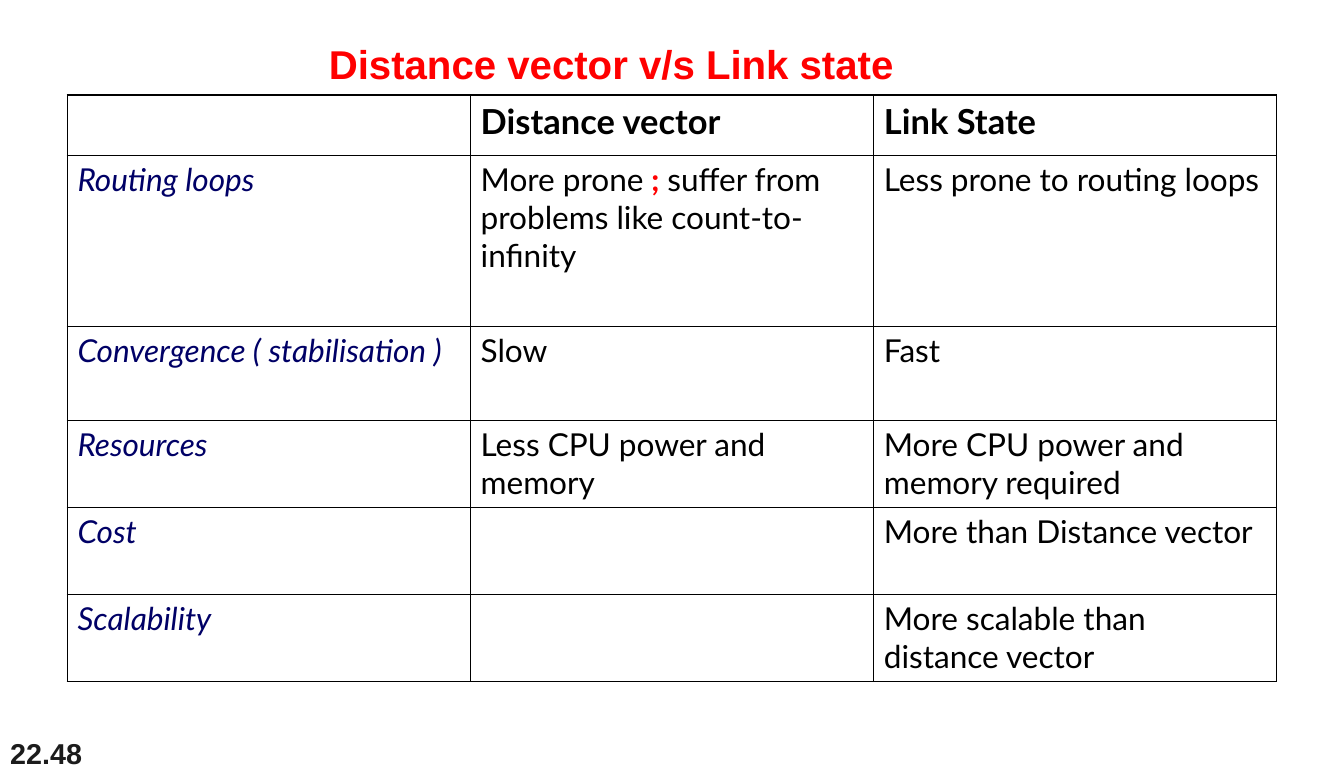
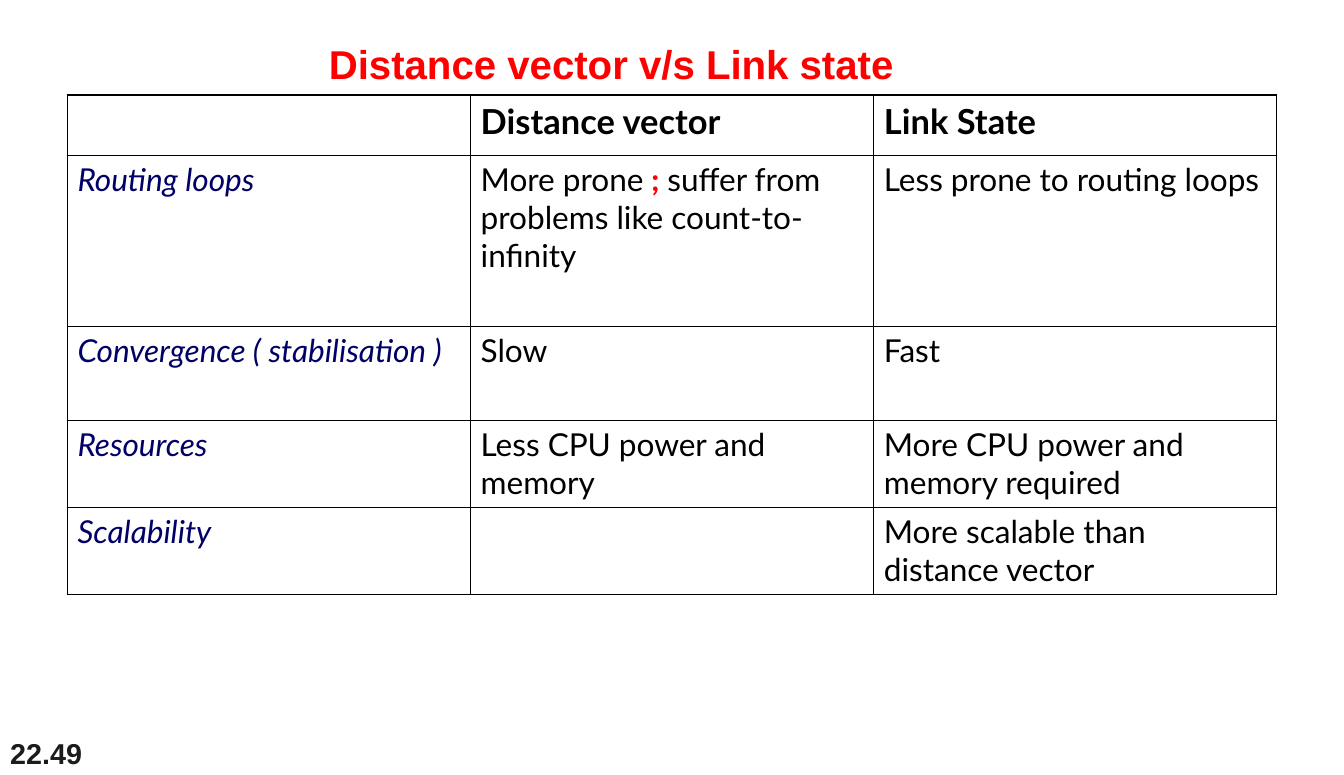
from lxml.etree import SubElement
from pptx import Presentation
from pptx.dml.color import RGBColor
from pptx.enum.text import MSO_ANCHOR, MSO_AUTO_SIZE, PP_ALIGN
from pptx.oxml import parse_xml
from pptx.oxml.ns import nsdecls, qn
from pptx.util import Pt

COLOURS = {"title": "FF0000", "number": "1C1C1C", "text": "000000",
           "topic": "000066", "accent": "FF0000", "border": "000000"}
HEADING_FONT, TABLE_FONT = "Arial", "Lato"
OUTER_LINE, INNER_LINE = 1.08, 0.45

TITLE_BOX = (70.5, 23.75, 718, 41)
NUMBER_BOX = (0, 504, 195, 36)
TABLE_ORIGIN = (46.8, 66.25)
COLUMN_WIDTH = 280.8

HEADER = (42, ["", "Distance vector", "Link State"])
ROUTING_LOOPS = (119, ["Routing loops",
                       "More prone ; suffer from problems like count-to-infinity",
                       "Less prone to routing loops"])
CONVERGENCE = (65.5, ["Convergence ( stabilisation )", "Slow", "Fast"])
RESOURCES = (61, ["Resources", "Less CPU power and memory",
                  "More CPU power and memory required"])
COST = (60.5, ["Cost", "", "More than Distance vector"])
SCALABILITY = (60.5, ["Scalability", "", "More scalable than distance vector"])

SHARED_ROWS = [HEADER, ROUTING_LOOPS, CONVERGENCE, RESOURCES]
SLIDES = [("22.48", SHARED_ROWS + [COST, SCALABILITY]),
          ("22.49", SHARED_ROWS + [SCALABILITY])]


def style(font, name, size, colour, bold=False, italic=False):
    font.name, font.size = name, Pt(size)
    font.bold, font.italic = bold, italic
    font.color.rgb = RGBColor.from_string(COLOURS[colour])


def add_title(page, box):
    title = page.shapes.title
    title.left, title.top, title.width, title.height = map(Pt, box)
    frame = title.text_frame
    frame.text = "Distance vector v/s Link state "
    frame.word_wrap = True
    frame.auto_size = MSO_AUTO_SIZE.NONE
    frame.vertical_anchor = MSO_ANCHOR.TOP
    para = frame.paragraphs[0]
    para.alignment = PP_ALIGN.CENTER
    style(para.runs[0].font, HEADING_FONT, 28, "title", bold=True)


def add_number(page, box, number):
    frame = page.shapes.add_textbox(*map(Pt, box)).text_frame
    frame.text = number
    frame.word_wrap = True
    frame.vertical_anchor = MSO_ANCHOR.BOTTOM
    style(frame.paragraphs[0].runs[0].font, HEADING_FONT, 20, "number", bold=True)


def set_borders(cell, outer_sides):
    properties = cell._tc.get_or_add_tcPr()
    for position, side in enumerate("LRTB"):
        width = Pt(OUTER_LINE if side in outer_sides else INNER_LINE)
        line = parse_xml(f'<a:ln{side} {nsdecls("a")} w="{width}"/>')
        fill = SubElement(line, qn("a:solidFill"))
        SubElement(fill, qn("a:srgbClr"), val=COLOURS["border"])
        properties.insert(position, line)


def fill_cell(cell, text, is_header, is_topic):
    cell.fill.background()
    para = cell.text_frame.paragraphs[0]
    before, mark, after = text.partition(" ; ")
    for part in filter(None, (before, mark, after)):
        span = para.add_run()
        span.text = part
        is_mark = part == mark
        style(span.font, TABLE_FONT, 24 if is_header else 22,
              "accent" if is_mark else "topic" if is_topic else "text",
              bold=is_header or is_mark, italic=is_topic)


def add_comparison(page, origin, rows):
    columns = len(HEADER[1])
    left, top = origin
    height = sum(row_height for row_height, _ in rows)
    table = page.shapes.add_table(len(rows), columns, Pt(left), Pt(top),
                                  Pt(columns * COLUMN_WIDTH), Pt(height)).table
    table.first_row = table.horz_banding = False
    for column in table.columns:
        column.width = Pt(COLUMN_WIDTH)
    for r, (row_height, texts) in enumerate(rows):
        table.rows[r].height = Pt(row_height)
        for c, text in enumerate(texts):
            cell = table.cell(r, c)
            fill_cell(cell, text, is_header=r == 0, is_topic=c == 0)
            edges = {"L": c == 0, "R": c == columns - 1,
                     "T": r == 0, "B": r == len(rows) - 1}
            set_borders(cell, [side for side, outer in edges.items() if outer])


def add_comparison_slide(deck, number, rows):
    page = deck.slides.add_slide(deck.slide_layouts[5])
    add_number(page, NUMBER_BOX, number)
    add_comparison(page, TABLE_ORIGIN, rows)
    add_title(page, TITLE_BOX)


def main():
    deck = Presentation()
    deck.slide_width, deck.slide_height = Pt(936), Pt(540)
    for number, rows in SLIDES:
        add_comparison_slide(deck, number, rows)
    deck.save("out.pptx")


if __name__ == "__main__":
    main()
